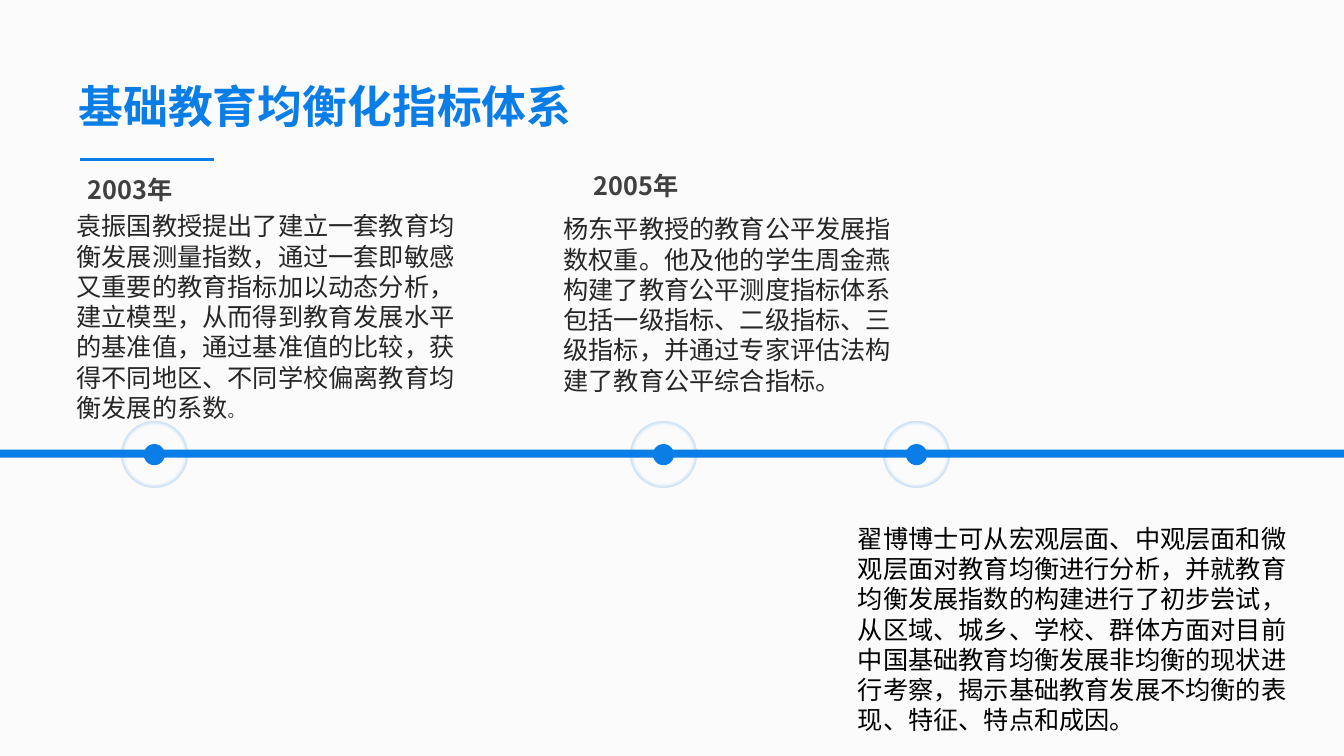
import pptx
import pptx.dml.color
import pptx.enum.shapes
import pptx.enum.text
import pptx.oxml
import pptx.oxml.ns
import pptx.util
from pptx.util import Inches

COLOURS = {"back": "FBFBFB", "blue": "0A7DE6", "halo": "0B80EA",
           "body": "262626", "grey": "404040", "black": "000000"}
FONT = "Noto Sans CJK SC"
AXIS_MIDDLE = 4.5
HALO_SIZE, DOT_SIZE = 0.65, 0.21

# Year, year position, text, text box and text colour of each entry
ENTRIES = [
    ("2003年", (0.77, 1.68),
     "袁振国教授提出了建立一套教育均衡发展测量指数，通过一套即敏感又重要的教育指标加以动态分析，"
     "建立模型，从而得到教育发展水平的基准值，通过基准值的比较，获得不同地区、不同学校偏离教育均衡发展的系数",
     (0.66, 2.04, 4.15, 2.22), "body"),
    ("2005年", (5.79, 1.64),
     "杨东平教授的教育公平发展指数权重。他及他的学生周金燕构建了教育公平测度指标体系包括一级指标、"
     "二级指标、三级指标，并通过专家评估法构建了教育公平综合指标。",
     (5.49, 2.07, 3.6, 1.92), "body"),
    (None, None,
     "翟博博士可从宏观层面、中观层面和微观层面对教育均衡进行分析，并就教育均衡发展指数的构建进行了初步尝试，"
     "从区域、城乡、学校、群体方面对目前中国基础教育均衡发展非均衡的现状进行考察，"
     "揭示基础教育发展不均衡的表现、特征、特点和成因。",
     (8.41, 5.14, 4.49, 2.22), "black"),
]
MARKER_CENTRES = [1.53, 6.58, 9.09]


def rgb(name):
    return pptx.dml.color.RGBColor.from_string(COLOURS[name])


def add_span(para, text, size=18, colour="body", bold=False):
    span = para.add_run()
    span.text = text
    span.font.size = pptx.util.Pt(size)
    span.font.bold = bold
    span.font.color.rgb = rgb(colour)
    span.font.name = FONT
    east_asian = pptx.oxml.parse_xml(
        f'<a:ea {pptx.oxml.ns.nsdecls("a")} typeface="{FONT}"/>')
    span.font._element.append(east_asian)


def add_text(page, text, place, wrap=True, align=None, **style):
    box = page.shapes.add_textbox(*map(Inches, place))
    box.text_frame.word_wrap = wrap
    para = box.text_frame.paragraphs[0]
    para.alignment = align
    add_span(para, text, **style)
    return para


def add_solid(page, kind, place, colour):
    shape = page.shapes.add_shape(kind, *map(Inches, place))
    shape.shadow.inherit = False
    shape.line.fill.background()
    shape.fill.solid()
    shape.fill.fore_color.rgb = rgb(colour)
    return shape


def add_title(page, left, top, width, height):
    add_text(page, "基础教育均衡化指标体系", (left, top, width, height),
             align=pptx.enum.text.PP_ALIGN.JUSTIFY, size=32, colour="blue", bold=True)
    rule_left, rule_top = left + 0.11, top + 0.85
    rule = page.shapes.add_connector(
        pptx.enum.shapes.MSO_CONNECTOR.STRAIGHT,
        Inches(rule_left), Inches(rule_top), Inches(rule_left + 1.33), Inches(rule_top))
    rule.line.color.rgb = rgb("blue")
    rule.line.width = pptx.util.Pt(2)
    rule._element.spPr.append(
        pptx.oxml.parse_xml(f'<a:effectLst {pptx.oxml.ns.nsdecls("a")}/>'))


def add_marker(page, centre, middle):
    oval = pptx.enum.shapes.MSO_SHAPE.OVAL
    dot, halo = [
        add_solid(page, oval, (centre - size / 2, middle - size / 2, size, size), colour)
        for size, colour in ((DOT_SIZE, "blue"), (HALO_SIZE, "halo"))]
    # The halo fades from a clear centre to its rim
    gradient = pptx.oxml.parse_xml(
        f'<a:gradFill {pptx.oxml.ns.nsdecls("a")} rotWithShape="1"><a:gsLst>'
        f'<a:gs pos="62000"><a:srgbClr val="{COLOURS["halo"]}"><a:alpha val="0"/></a:srgbClr></a:gs>'
        f'<a:gs pos="100000"><a:srgbClr val="{COLOURS["halo"]}"/></a:gs></a:gsLst>'
        '<a:path path="circle"><a:fillToRect l="50000" t="50000" r="50000" b="50000"/></a:path>'
        '</a:gradFill>')
    properties = halo._element.spPr
    properties.replace(properties.find(pptx.oxml.ns.qn("a:solidFill")), gradient)


def add_entry(page, year, year_corner, text, place, colour):
    para = add_text(page, text, place, colour=colour)
    if year:
        add_text(page, year, (*year_corner, 1.11, 0.4), wrap=False,
                 colour="grey", bold=True)
    return para


def build_timeline_slide(deck):
    page = deck.slides.add_slide(deck.slide_layouts[6])
    page.background.fill.solid()
    page.background.fill.fore_color.rgb = rgb("back")
    # Axis
    add_solid(page, pptx.enum.shapes.MSO_SHAPE.RECTANGLE,
              (0, AXIS_MIDDLE - 0.04, 13.33, 0.08), "blue")
    # Entries; the first ends in a smaller full stop
    paras = [add_entry(page, *entry) for entry in ENTRIES]
    add_span(paras[0], "。", size=12, colour="grey")
    # Markers on the axis
    for centre in MARKER_CENTRES:
        add_marker(page, centre, AXIS_MIDDLE + 0.01)
    # Title
    add_title(page, 0.68, 0.73, 5.79, 0.64)


def main():
    deck = pptx.Presentation()
    deck.slide_width, deck.slide_height = Inches(13.33), Inches(7.5)
    build_timeline_slide(deck)
    deck.save("out.pptx")


if __name__ == "__main__":
    main()
